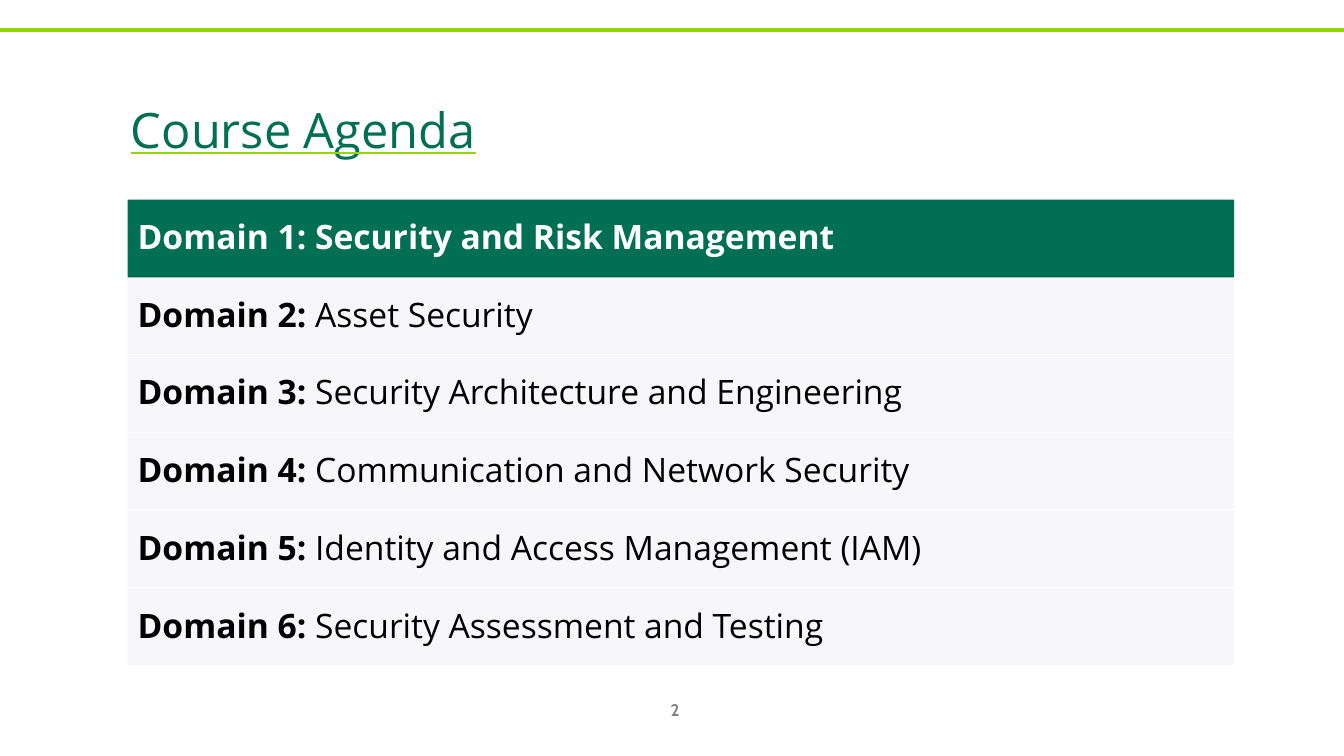
from typing import NamedTuple

from lxml import etree
from pptx import Presentation, util as u
from pptx.dml.color import RGBColor
from pptx.enum import shapes, text
from pptx.oxml.ns import qn

GREEN, DARK_GREEN, LIME = "006F53", "00654B", "95D600"
WHITE, BLACK, GREY, PALE = "FFFFFF", "000000", "808080", "F7F7F9"

SLIDE_WIDTH, SLIDE_HEIGHT = 33.87, 19.05
AGENDA_LEFT, AGENDA_TOP = 3.22, 5.03
AGENDA_WIDTH, ROW_HEIGHT = 27.88, 1.96


class Domain(NamedTuple):
    label: str
    topic: str
    current: bool = False


DOMAINS = [
    Domain("Domain 1: ", "Security and Risk Management", current=True),
    Domain("Domain 2: ", "Asset Security"),
    Domain("Domain 3: ", "Security Architecture and Engineering"),
    Domain("Domain 4: ", "Communication and Network Security"),
    Domain("Domain 5: ", "Identity and Access Management (IAM)"),
    Domain("Domain 6: ", "Security Assessment and Testing"),
]


def rgb(color: str) -> RGBColor:
    return RGBColor.from_string(color)


def add_run(paragraph, words: str, *, size: float, color: str,
            font: str = "Open Sans", bold: bool = False):
    run = paragraph.add_run()
    run.text = words
    run.font.name = font
    run.font.size = u.Pt(size)
    run.font.bold = bold
    run.font.color.rgb = rgb(color)
    return run


def middle_paragraph(shape, align=text.PP_ALIGN.LEFT):
    """Centre the shape's text vertically and return its first paragraph."""
    frame = shape.text_frame
    frame.word_wrap = True
    frame.vertical_anchor = text.MSO_ANCHOR.MIDDLE
    paragraph = frame.paragraphs[0]
    paragraph.alignment = align
    return paragraph


def add_rule(slide, left: float, y: float, width: float, color: str, weight: float) -> None:
    rule = slide.shapes.add_connector(
        shapes.MSO_CONNECTOR.STRAIGHT, u.Cm(left), u.Cm(y), u.Cm(left + width), u.Cm(y))
    rule.line.color.rgb = rgb(color)
    rule.line.width = u.Pt(weight)
    etree.SubElement(rule._element.spPr, qn("a:effectLst"))


def underline(run, color: str) -> None:
    run.font.underline = True
    underline_fill = etree.Element(qn("a:uFill"))
    solid = etree.SubElement(underline_fill, qn("a:solidFill"))
    etree.SubElement(solid, qn("a:srgbClr"), val=color)
    run.font._element.find(qn("a:solidFill")).addnext(underline_fill)


def add_title(slide, words: str) -> None:
    title = slide.shapes.add_textbox(u.Cm(3.05), u.Cm(1.55), u.Cm(24.08), u.Cm(3.18))
    run = add_run(middle_paragraph(title), words, size=60, color=GREEN)
    run.font._element.set("baseline", "12000")
    underline(run, LIME)


def add_domain(slide, domain: Domain, top: float) -> None:
    row = slide.shapes.add_shape(
        shapes.MSO_SHAPE.RECTANGLE, u.Cm(AGENDA_LEFT), u.Cm(top),
        u.Cm(AGENDA_WIDTH), u.Cm(ROW_HEIGHT))
    row.shadow.inherit = False
    row.fill.solid()
    row.fill.fore_color.rgb = rgb(GREEN if domain.current else PALE)
    row.line.fill.background()
    paragraph = middle_paragraph(row)
    paragraph.line_spacing = 0.9
    color = WHITE if domain.current else BLACK
    add_run(paragraph, domain.label, size=24, color=color, bold=True)
    add_run(paragraph, domain.topic, size=24, color=color, bold=domain.current)


def main() -> None:
    deck = Presentation()
    deck.slide_width, deck.slide_height = u.Cm(SLIDE_WIDTH), u.Cm(SLIDE_HEIGHT)
    slide = deck.slides.add_slide(deck.slide_layouts[6])

    add_rule(slide, 0, 0.76, SLIDE_WIDTH, LIME, 3)
    page_number = slide.shapes.add_textbox(u.Cm(16.23), u.Cm(17.37), u.Cm(1.57), u.Cm(1.02))
    add_run(middle_paragraph(page_number, text.PP_ALIGN.CENTER), "2",
            size=12, color=GREY, font="Cabin", bold=True)
    add_title(slide, "Course Agenda")

    rule_color = WHITE
    for index, domain in enumerate(DOMAINS):
        top = AGENDA_TOP + index * ROW_HEIGHT
        add_rule(slide, AGENDA_LEFT, top, AGENDA_WIDTH, rule_color, 2)
        add_domain(slide, domain, top)
        rule_color = DARK_GREEN if domain.current else WHITE
    add_rule(slide, AGENDA_LEFT, AGENDA_TOP + len(DOMAINS) * ROW_HEIGHT,
             AGENDA_WIDTH, rule_color, 2)

    deck.save("out.pptx")


if __name__ == "__main__":
    main()
